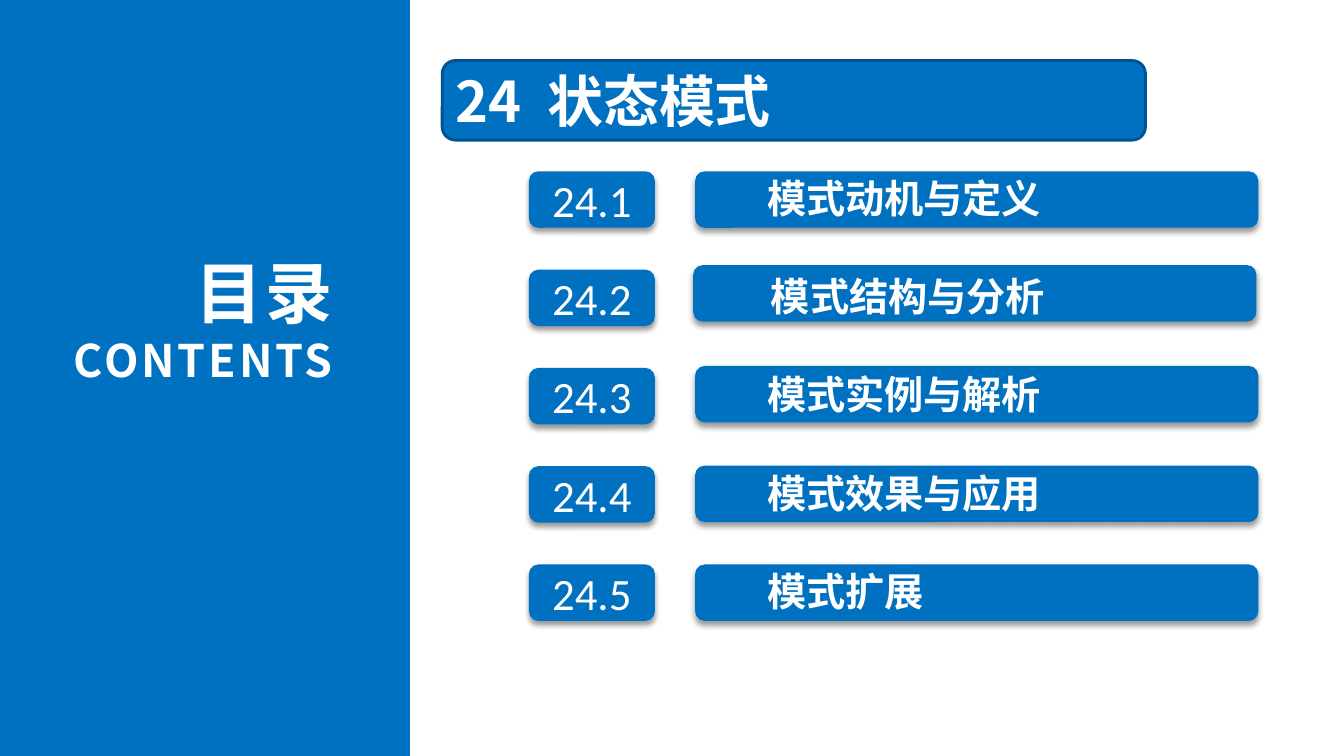
from lxml import etree
from pptx import Presentation, util as u
from pptx.dml.color import RGBColor
from pptx.enum import shapes, text
from pptx.oxml import ns

BLUE, EDGE, WHITE = "0070C0", "00538E", "FFFFFF"
HAN, LATIN = "Noto Sans CJK SC", "Calibri"
WIDE_INSETS = (9.6, 4.8)


def colour(value):
    return RGBColor.from_string(value)


def assign(target, values):
    for name, value in values.items():
        setattr(target, name, value)


def child(parent, tag, **attributes):
    return etree.SubElement(parent, ns.qn(tag), attributes)


class ContentsSlide:
    def __init__(self, slide):
        self.slide = slide
        self.shapes = slide.shapes

    def place(self, item, box):
        assign(item, dict(zip(("left", "top", "width", "height"), map(u.Pt, box))))

    def letter(self, item, paragraphs, font, insets=WIDE_INSETS, anchor="TOP",
               align="LEFT", grow=False):
        frame = item.text_frame
        side, edge = map(u.Pt, insets)
        fit = "SHAPE_TO_FIT_TEXT" if grow else "NONE"
        assign(frame, dict(margin_left=side, margin_right=side, margin_top=edge,
                           margin_bottom=edge, word_wrap=True,
                           auto_size=text.MSO_AUTO_SIZE[fit],
                           vertical_anchor=text.MSO_ANCHOR[anchor]))
        for index, runs in enumerate(paragraphs):
            paragraph = frame.add_paragraph() if index else frame.paragraphs[0]
            paragraph.alignment = text.PP_ALIGN[align]
            for words, size, spacing in runs:
                run = paragraph.add_run()
                run.text = words
                assign(run.font, dict(size=u.Pt(size), name=font, bold=font == HAN))
                run.font.color.rgb = colour(WHITE)
                properties = run._r.get_or_add_rPr()
                child(properties, "a:ea", typeface=font)
                if spacing:
                    properties.set("spc", str(spacing * 100))

    def block(self, box, preset="ROUNDED_RECTANGLE", edge=None, shadow=False, parent=None):
        item = (parent or self).shapes.add_shape(
            shapes.MSO_SHAPE[preset], *map(u.Pt, box))
        item.shadow.inherit = False
        item.fill.solid()
        item.fill.fore_color.rgb = colour(BLUE)
        if edge:
            item.line.color.rgb = colour(edge)
            item.line.width = u.Pt(2)
        else:
            item.line.fill.background()
        if shadow:
            effects = item._element.spPr.find(ns.qn("a:effectLst"))
            cast = child(effects, "a:outerShdw", blurRad=str(u.Pt(4)),
                         dist=str(u.Pt(3)), dir="5400000", algn="t", rotWithShape="0")
            child(child(cast, "a:srgbClr", val="000000"), "a:alpha", val="40000")
        return item

    def title(self, box, paragraphs):
        heading = self.shapes.title
        self.place(heading, box)
        self.letter(heading, paragraphs, HAN, align="RIGHT", grow=True)
        tree = heading._element.getparent()
        tree.append(heading._element)

    def number(self, box, words):
        self.letter(self.block(box, shadow=True), [[(words, 32, 0)]], LATIN,
                    anchor="MIDDLE", align="CENTER")

    def topic(self, bar_box, label_box, words):
        group = self.shapes.add_group_shape()
        self.block(bar_box, shadow=True, parent=group)
        label = group.shapes.add_textbox(*map(u.Pt, label_box))
        self.letter(label, [[(words, 28, 0)]], HAN, grow=True)

    def banner(self, box, runs):
        self.letter(self.block(box, edge=EDGE), [runs], HAN,
                    insets=(7.2, 3.6), anchor="MIDDLE")


def main():
    deck = Presentation()
    assign(deck, dict(slide_width=u.Pt(960.48), slide_height=u.Pt(540)))
    contents = ContentsSlide(deck.slides.add_slide(deck.slide_layouts[5]))
    contents.block((0, 0, 293, 540), preset="RECTANGLE")
    contents.title((26.6, 175, 221, 106.6), [[("目录", 48, 2)], [("CONTENTS", 32, 2)]])
    contents.banner((316, 43.2, 502.6, 56.9),
                    [("24", 40, 0), (" ", 40, 9), ("状态模式", 40, 0)])

    topics = [
        ("模式动机与定义", 496.8, 0, 538.6, 344.2),
        ("模式结构与分析", 495.4, -3.2, 541.4, 285.1),
        ("模式实例与解析", 496.8, -1.4, 538.6, 294.5),
        ("模式效果与应用", 496.8, -0.4, 538.6, 294.5),
        ("模式扩展", 496.8, 0, 538.6, 294.5),
    ]
    for index, (words, bar_left, bar_shift, label_left, label_width) in enumerate(topics):
        top = 122.4 + 70.2 * index
        contents.number((378, top, 90, 40.3), f"24.{index + 1}")
        contents.topic((bar_left, top + bar_shift, 402.5, 40.3),
                       (label_left, top - 2.9, label_width, 43.9), words)
    deck.save("out.pptx")


if __name__ == "__main__":
    main()
